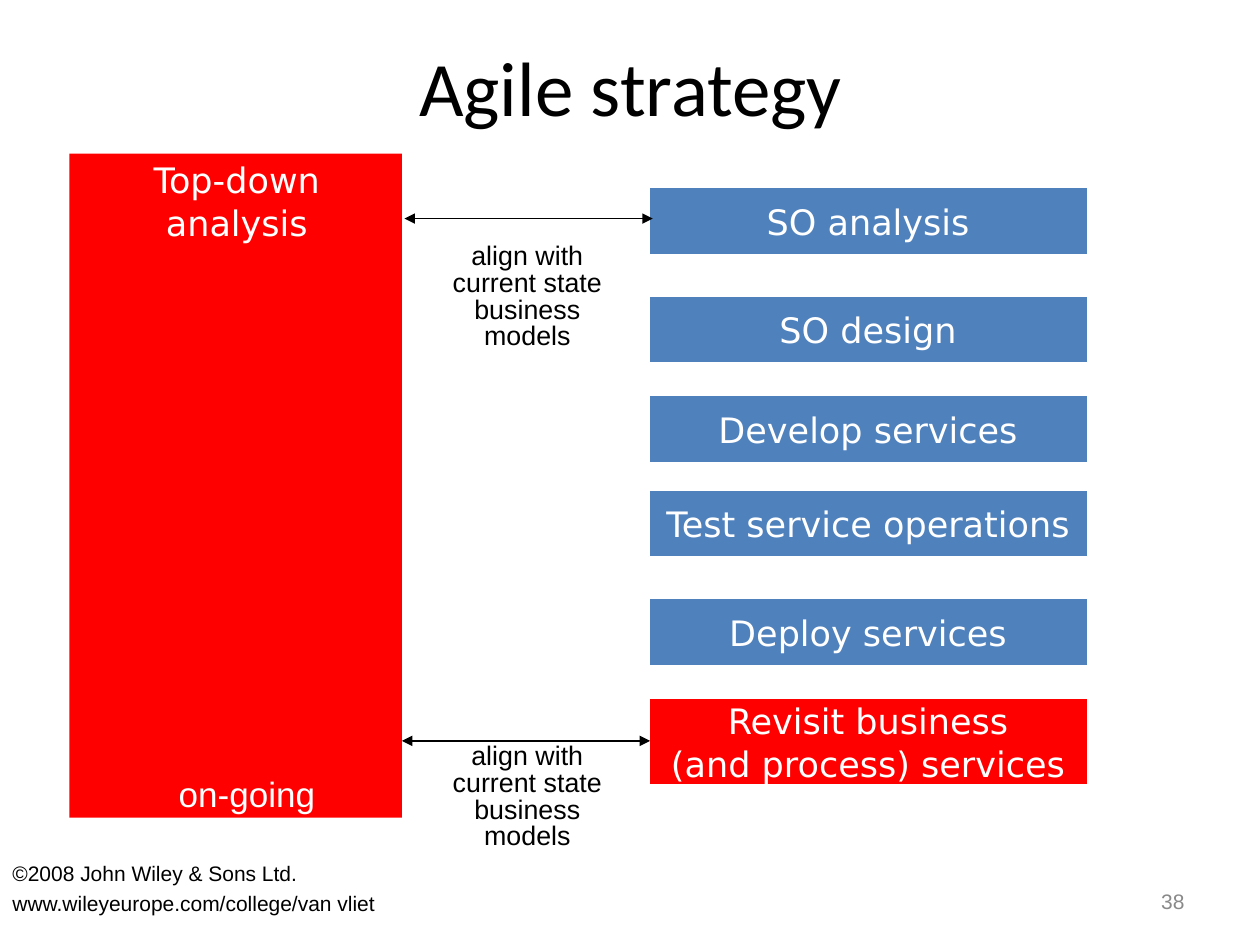
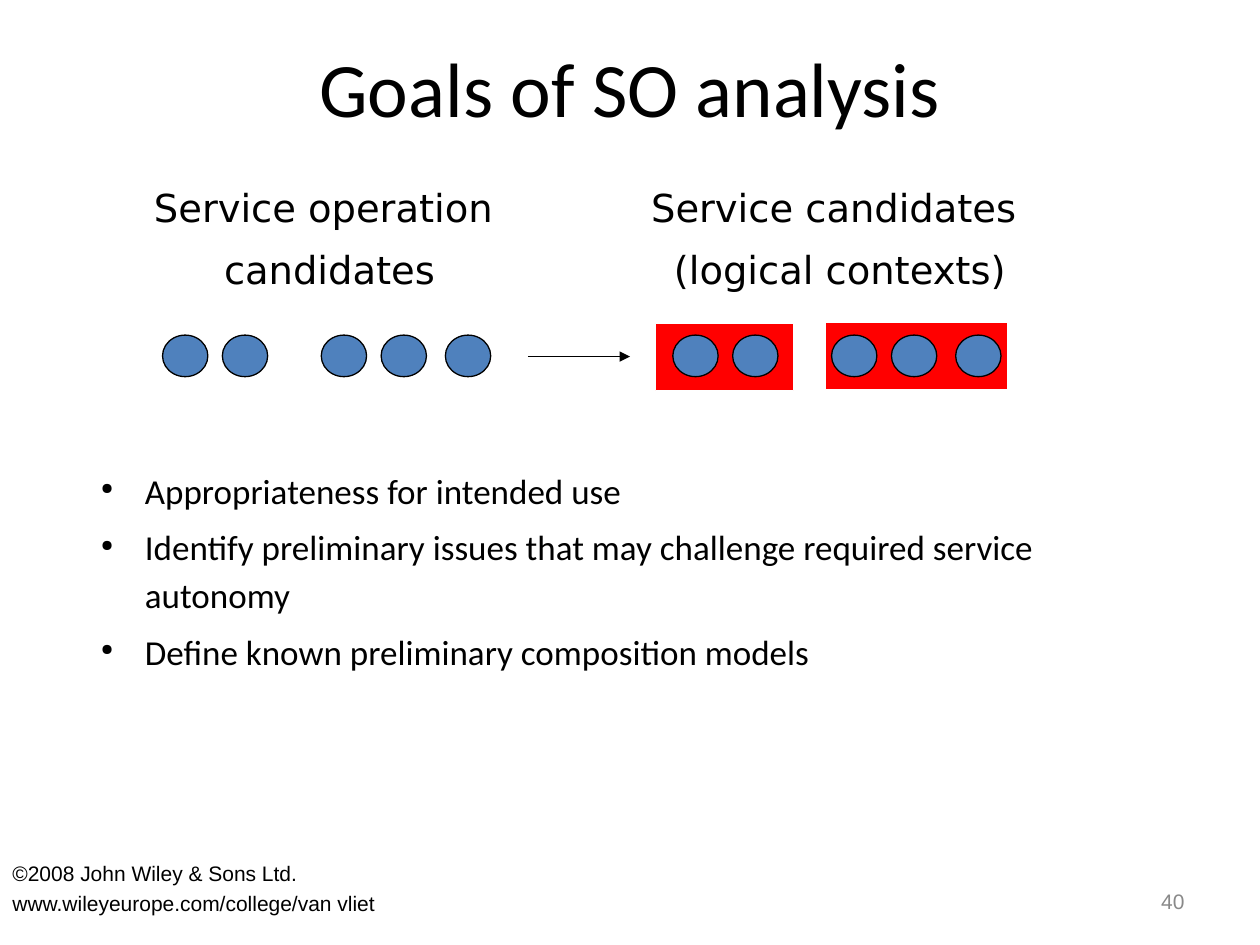
from dataclasses import dataclass

from lxml import etree
from pptx import Presentation
from pptx.dml.color import RGBColor
from pptx.enum.shapes import MSO_CONNECTOR, MSO_SHAPE
from pptx.enum.text import MSO_ANCHOR, MSO_AUTO_SIZE, PP_ALIGN
from pptx.oxml.ns import qn
from pptx.util import Inches, Pt

RECTANGLE, ELLIPSE = MSO_SHAPE.RECTANGLE, MSO_SHAPE.OVAL
CALLOUT = MSO_SHAPE.DOWN_ARROW_CALLOUT
STRAIGHT = MSO_CONNECTOR.STRAIGHT
TOP, MIDDLE = MSO_ANCHOR.TOP, MSO_ANCHOR.MIDDLE
LEFT, CENTER, RIGHT = PP_ALIGN.LEFT, PP_ALIGN.CENTER, PP_ALIGN.RIGHT
NO_FIT = MSO_AUTO_SIZE.NONE

COLUMNS, ROWS = 100, 75
TITLE_ONLY = 5


@dataclass(frozen=True)
class Type:
    font: str
    size: float
    color: str


@dataclass(frozen=True)
class Theme:
    red: str = "FF0000"
    blue: str = "4F81BD"
    white: str = "FFFFFF"
    black: str = "000000"
    title: Type = Type("Calibri", 44, "000000")
    bullet: Type = Type("Calibri", 20, "000000")
    heading: Type = Type("DejaVu Sans", 22, "000000")
    step: Type = Type("DejaVu Sans", 20, "FFFFFF")
    status: Type = Type("Arial", 20, "FFFFFF")
    caption: Type = Type("Arial", 15.3, "000000")
    footer: Type = Type("Arial", 12, "000000")
    number: Type = Type("Arial", 12, "898989")


class Deck:
    def __init__(self, theme):
        self.theme = theme
        self.deck = Presentation()
        self.deck.slide_width = Inches(10)
        self.deck.slide_height = Inches(7.5)
        self.slide = None

    def grid(self, left, top, width, height):
        column = self.deck.slide_width / COLUMNS
        row = self.deck.slide_height / ROWS
        return [round(v * unit) for v, unit in
                zip((left, top, width, height), (column, row, column, row))]

    def start(self, title, title_area, number):
        self.slide = self.deck.slides.add_slide(self.deck.slide_layouts[TITLE_ONLY])
        heading = self.slide.shapes.title
        heading.left, heading.top, heading.width, heading.height = self.grid(*title_area)
        self.fill_text(heading.text_frame, title, self.theme.title, CENTER,
                       MIDDLE, spacing=0.62, inset=False)
        self.text((71.7, 69.5, 23.3, 4), number, self.theme.number, RIGHT, MIDDLE)
        self.text((0, 67.8, 65.8, 7.2),
                  "©2008 John Wiley & Sons Ltd.\nwww.wileyeurope.com/college/van vliet",
                  self.theme.footer, before=3)

    def fill_text(self, frame, words, style, align=LEFT, anchor=TOP, spacing=1.0,
                  before=0, inset=True, indent=None, bullet=False, wrap=True):
        frame.text = words
        frame.auto_size = NO_FIT
        frame.word_wrap = wrap
        frame.vertical_anchor = anchor
        frame.margin_left = frame.margin_right = Inches(0.1 if inset else 0)
        frame.margin_top = frame.margin_bottom = Inches(0.05 if inset else 0)
        for index, paragraph in enumerate(frame.paragraphs):
            paragraph.alignment = align
            paragraph.line_spacing = spacing
            paragraph.space_before = Pt(before if index else 0)
            properties = paragraph._p.get_or_add_pPr()
            if indent:
                margin, first = indent
                properties.set("marL", str(Inches(margin)))
                properties.set("indent", str(Inches(first)))
            if bullet:
                color = etree.SubElement(properties, qn("a:buClr"))
                etree.SubElement(color, qn("a:srgbClr"), val=style.color)
                etree.SubElement(properties, qn("a:buSzPct"), val="45000")
                etree.SubElement(properties, qn("a:buChar"), char="●")
            for run in paragraph.runs:
                run.font.name = style.font
                run.font.size = Pt(style.size)
                run.font.color.rgb = RGBColor.from_string(style.color)

    def text(self, area, words, style, align=LEFT, anchor=TOP, **layout):
        frame = self.slide.shapes.add_textbox(*self.grid(*area)).text_frame
        self.fill_text(frame, words, style, align, anchor, **layout)
        return frame

    def shape(self, kind, area, fill=None, line=None, words="", spacing=1.02):
        shape = self.slide.shapes.add_shape(kind, *self.grid(*area))
        shape.shadow.inherit = False
        if fill:
            shape.fill.solid()
            shape.fill.fore_color.rgb = RGBColor.from_string(fill)
        else:
            shape.fill.background()
        if line:
            shape.line.color.rgb = RGBColor.from_string(line)
            shape.line.width = Pt(0.75)
        else:
            shape.line.fill.background()
        if words:
            self.fill_text(shape.text_frame, words, self.theme.step, CENTER,
                           MIDDLE, spacing=spacing, wrap=False)
        return shape

    def arrow(self, left, right, row, width=0.75, both=False):
        x, y, length, _ = self.grid(left, row, right - left, 0)
        arrow = self.slide.shapes.add_connector(STRAIGHT, x, y, x + length, y)
        arrow.line.color.rgb = RGBColor.from_string(self.theme.black)
        arrow.line.width = Pt(width)
        properties = arrow._element.spPr
        outline = properties.find(qn("a:ln"))
        for end in ("a:headEnd", "a:tailEnd") if both else ("a:tailEnd",):
            etree.SubElement(outline, qn(end), type="triangle")
        etree.SubElement(properties, qn("a:effectLst"))

    def save(self):
        self.deck.save("out.pptx")


def agile_strategy(deck):
    theme = deck.theme
    deck.start("Agile strategy", (7.5, 2.1, 85.1, 11.6), "38")
    deck.shape(RECTANGLE, (5.5, 12.2, 26.4, 52.7), theme.red)
    steps = (
        (14.9, "SO analysis"),
        (23.5, "SO design"),
        (31.4, "Develop services"),
        (38.9, "Test service operations"),
        (47.5, "Deploy services"),
    )
    for row, step in steps:
        deck.shape(RECTANGLE, (51.5, row, 34.8, 5.3), theme.blue, theme.white, step)
    deck.shape(RECTANGLE, (51.5, 55.4, 34.8, 6.9), theme.red, theme.white,
               "Revisit business\n(and process) services")

    analysis = deck.shape(CALLOUT, (5.6, 12.3, 26.4, 10.7),
                          words="Top-down\nanalysis", spacing=1.04)
    for index, share in enumerate((0.61, 0.61, 0.17, 0.67)):
        analysis.adjustments[index] = share
    deck.text((13.2, 62, 13.9, 4.1), "on-going", theme.status, spacing=0.59)

    for row in (18.9, 58.6):
        deck.text((34.9, row, 13.9, 11.4),
                  "align with\ncurrent state\nbusiness\nmodels",
                  theme.caption, CENTER, spacing=0.83)
    deck.arrow(32.1, 51.8, 17.35, both=True)
    deck.arrow(31.9, 51.6, 58.8, width=1.5, both=True)


def analysis_goals(deck):
    theme = deck.theme
    deck.start("Goals of SO analysis", (7.5, 1.7, 85, 12.5), "40")
    goals = deck.text(
        (7.5, 37.1, 85.8, 29.2),
        "Appropriateness for intended use\n"
        "Identify preliminary issues that may challenge required service autonomy\n"
        "Define known preliminary composition models",
        theme.bullet, spacing=1.14, before=5, inset=False,
        indent=(0.4, -0.35), bullet=True)
    goals.paragraphs[0].line_spacing = 1.04

    for context in ((65.5, 25.6, 14.5, 5.3), (52, 25.7, 11, 5.3)):
        deck.shape(RECTANGLE, context, theme.red, theme.white)
    operation_offsets = (0, 4.75, 12.6, 17.35, 22.45)
    for group_left in (12.9, 53.4):
        for offset in operation_offsets:
            deck.shape(ELLIPSE, (group_left + offset, 26.6, 3.6, 3.3),
                       theme.blue, theme.black)
    deck.arrow(41.9, 50, 28.3)

    headings = (
        (0.3, 50.7, "Service operation \ncandidates"),
        (41, 50.3, "Service candidates \n(logical contexts)"),
    )
    for left, width, heading in headings:
        deck.text((left, 14.5, width, 8.6), heading, theme.heading, CENTER,
                  spacing=1.04, before=8, inset=False, indent=(0.45, -0.35))


def main():
    deck = Deck(Theme())
    agile_strategy(deck)
    analysis_goals(deck)
    deck.save()


if __name__ == "__main__":
    main()
